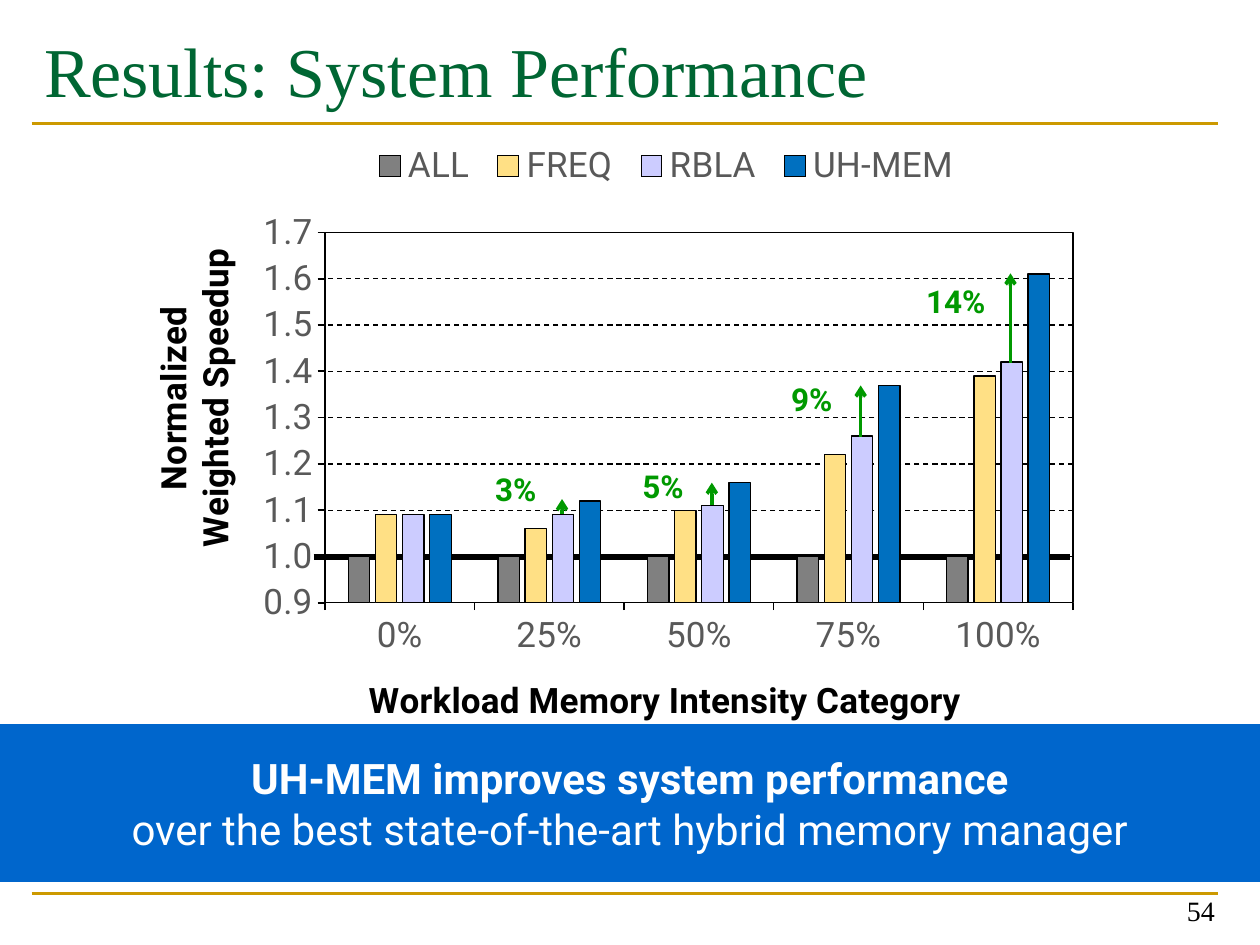
from lxml import etree
from pptx import Presentation
from pptx.chart.data import CategoryChartData
from pptx.dml.color import RGBColor
from pptx.enum.chart import XL_CHART_TYPE, XL_LEGEND_POSITION, XL_TICK_MARK
from pptx.enum.dml import MSO_LINE
from pptx.enum.shapes import MSO_CONNECTOR, MSO_SHAPE
from pptx.enum.text import MSO_ANCHOR, PP_ALIGN
from pptx.oxml import parse_xml
from pptx.oxml.ns import nsdecls, qn
from pptx.util import Cm, Pt

COLUMNS = XL_CHART_TYPE.COLUMN_CLUSTERED
LEGEND_BOTTOM = XL_LEGEND_POSITION.BOTTOM
TICK_OUT = XL_TICK_MARK.OUTSIDE
DASH = MSO_LINE.DASH
STRAIGHT = MSO_CONNECTOR.STRAIGHT
RECTANGLE = MSO_SHAPE.RECTANGLE
TOP, MIDDLE, BOTTOM = MSO_ANCHOR.TOP, MSO_ANCHOR.MIDDLE, MSO_ANCHOR.BOTTOM
LEFT, CENTER, RIGHT = PP_ALIGN.LEFT, PP_ALIGN.CENTER, PP_ALIGN.RIGHT

SANS, SERIF = "Roboto", "Times New Roman"
BLACK, WHITE, GREY = "000000", "FFFFFF", "595959"
GOLD, GREEN, DARK_GREEN, BLUE = "CC9900", "009900", "006633", "0066CC"

CATEGORIES = [0, 0.25, 0.5, 0.75, 1]
SERIES = [
    ("ALL", "808080", [1, 1, 1, 1, 1]),
    ("FREQ", "FFE085", [1.09, 1.06, 1.1, 1.22, 1.39]),
    ("RBLA", "CCCCFF", [1.09, 1.09, 1.11, 1.26, 1.42]),
    ("UH-MEM", "0070C0", [1.09, 1.12, 1.16, 1.37, 1.61]),
]
# label, label left, label top, arrow x, arrow start, arrow end (cm)
GAINS = [
    ("3%", 9.73, 9.35, 11.33, 10.36, 10.06),
    ("5%", 12.7, 9.3, 14.35, 10.19, 9.73),
    ("9%", 15.7, 7.54, 17.35, 8.81, 7.77),
    ("14%", 18.42, 5.56, 20.37, 7.32, 5.51),
]


def rgb(color):
    return RGBColor.from_string(color)


def set_font(font, size, color, name=SANS, bold=False):
    font.size, font.name, font.bold = Pt(size), name, bold
    font.color.rgb = rgb(color)


def set_line(line, color, width):
    line.color.rgb = rgb(color)
    line.width = Pt(width)


def add_line(slide, start, end, color, width, arrow=False):
    line = slide.shapes.add_connector(STRAIGHT, *map(Cm, start + end))
    set_line(line.line, color, width)
    properties = line._element.spPr
    if arrow:
        outline = properties.find(qn("a:ln"))
        etree.SubElement(outline, qn("a:tailEnd"), type="arrow")
    etree.SubElement(properties, qn("a:effectLst"))


def add_text(slide, area, text, size, color, name=SANS, bold=False,
             align=LEFT, anchor=TOP, wrap=True):
    frame = slide.shapes.add_textbox(*map(Cm, area)).text_frame
    frame.word_wrap = wrap
    frame.vertical_anchor = anchor
    para = frame.paragraphs[0]
    para.text = text
    para.alignment = align
    set_font(para.font, size, color, name, bold)


def add_banner(slide, area, lines):
    """Add a filled bar whose first line is bold."""
    bar = slide.shapes.add_shape(RECTANGLE, *map(Cm, area))
    bar.shadow.inherit = False
    bar.fill.solid()
    bar.fill.fore_color.rgb = rgb(BLUE)
    bar.line.fill.background()
    frame = bar.text_frame
    frame.word_wrap = True
    frame.vertical_anchor = MIDDLE
    frame.text = "\n".join(lines)
    for index, para in enumerate(frame.paragraphs):
        para.alignment = CENTER
        set_font(para.font, 24, WHITE, bold=index == 0)


def place(element, index, target=None, **fractions):
    """Give a chart part a manual layout in fractions of the chart."""
    for old in element.findall(qn("c:layout")):
        element.remove(old)
    layout = etree.Element(qn("c:layout"))
    manual = etree.SubElement(layout, qn("c:manualLayout"))
    if target:
        etree.SubElement(manual, qn("c:layoutTarget"), val=target)
    for mode in ("xMode", "yMode"):
        etree.SubElement(manual, qn(f"c:{mode}"), val="edge")
    for key, value in fractions.items():
        etree.SubElement(manual, qn(f"c:{key}"), val=str(value))
    element.insert(index, layout)


def style_axis(axis, number_format, line_width, title, x, y):
    axis.major_tick_mark = TICK_OUT
    axis.tick_labels.number_format = number_format
    axis.tick_labels.number_format_is_linked = False
    set_font(axis.tick_labels.font, 20, GREY)
    set_line(axis.format.line, BLACK, line_width)
    frame = axis.axis_title.text_frame
    frame.text = title
    for para in frame.paragraphs:
        set_font(para.font, 20, BLACK, bold=True)
    place(axis.axis_title._element, 1, x=x, y=y)


def add_speedup_chart(slide, area):
    data = CategoryChartData(number_format="#,##0.0")
    data.categories = CATEGORIES
    for name, _, values in SERIES:
        data.add_series(name, values)
    chart = slide.shapes.add_chart(COLUMNS, *map(Cm, area), data).chart
    chart.has_title = False
    set_font(chart.font, 10, BLACK)
    for code in chart._chartSpace.xpath(".//c:cat//c:formatCode"):
        code.text = "0%"

    plot = chart.plots[0]
    plot.gap_width, plot.overlap, plot.vary_by_categories = 219, -27, False
    for series, (_, color, _) in zip(plot.series, SERIES):
        series.format.fill.solid()
        series.format.fill.fore_color.rgb = rgb(color)
        set_line(series.format.line, BLACK, 0.75)

    style_axis(chart.category_axis, "0%", 0.75,
               "Workload Memory Intensity Category", 0.23, 0.88)
    values = chart.value_axis
    style_axis(values, "#,##0.0", 1, "Normalized\nWeighted Speedup", 0, 0.18)
    values.minimum_scale, values.maximum_scale, values.major_unit = 0.9, 1.7, 0.1
    grid = values.major_gridlines.format.line
    set_line(grid, BLACK, 0.75)
    grid.dash_style = DASH

    chart.has_legend = True
    chart.legend.position = LEGEND_BOTTOM
    chart.legend.include_in_layout = False
    set_font(chart.legend.font, 20, GREY)
    place(chart.legend._element, 1, x=0.23, y=0.01, w=0.65, h=0.08)

    plot_area = chart._chartSpace.chart.plotArea
    place(plot_area, 0, "inner", x=0.19, y=0.16, w=0.8, h=0.61)
    plot_area.append(parse_xml(
        f'<c:spPr {nsdecls("c", "a")}><a:noFill/><a:ln w="9525"><a:solidFill>'
        f'<a:srgbClr val="{BLACK}"/></a:solidFill></a:ln></c:spPr>'))


def main():
    deck = Presentation()
    deck.slide_width, deck.slide_height = Cm(25.4), Cm(19.05)
    slide = deck.slides.add_slide(deck.slide_layouts[6])

    for y in (18.01, 2.49):
        add_line(slide, (0.64, y), (24.56, y), GOLD, 1.5)
    add_line(slide, (6.32, 11.23), (21.56, 11.23), BLACK, 3)
    add_text(slide, (0.64, 0.43, 23.93, 2.97), "Results: System Performance",
             40, DARK_GREEN, SERIF)
    add_text(slide, (18.82, 17.55, 5.92, 1.27), "54", 16, BLACK, SERIF,
             align=RIGHT, anchor=BOTTOM)
    add_speedup_chart(slide, (2.97, 2.73, 18.85, 12.24))
    for label, left, top, x, start, end in GAINS:
        add_line(slide, (x, start), (x, end), GREEN, 2, arrow=True)
        add_text(slide, (left, top, 0.9 + 0.4 * len(label), 1.02), label,
                 18, GREEN, bold=True, wrap=False)
    add_banner(slide, (0, 14.6, 25.4, 3.18), [
        "UH-MEM improves system performance",
        "over the best state-of-the-art hybrid memory manager",
    ])
    deck.save("out.pptx")


if __name__ == "__main__":
    main()
